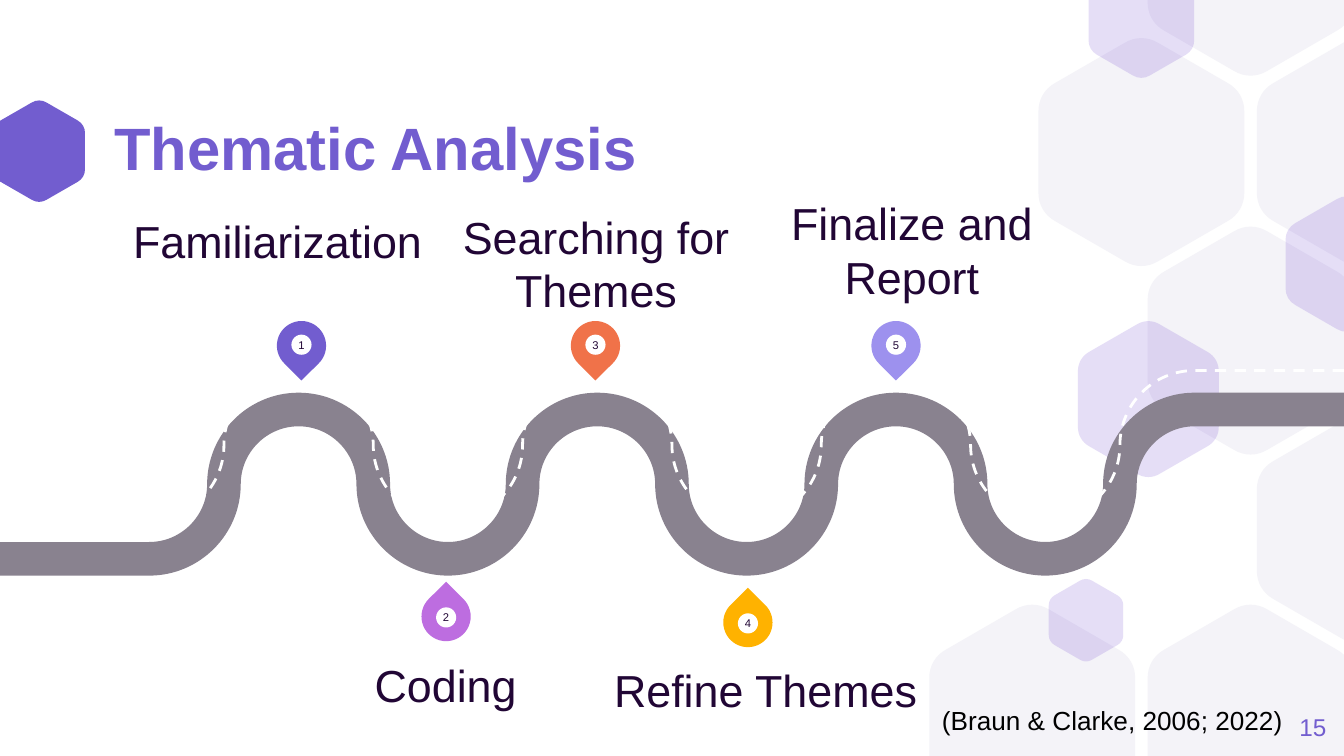
from math import cos, radians, sin

from lxml.etree import SubElement
from pptx import Presentation
from pptx.dml.color import RGBColor
from pptx.enum.dml import MSO_LINE_DASH_STYLE as Dash
from pptx.enum.shapes import MSO_SHAPE as Shape
from pptx.enum.text import MSO_ANCHOR as Anchor, MSO_AUTO_SIZE as AutoSize, PP_ALIGN as Align
from pptx.oxml.ns import qn
from pptx.util import Pt

WIDTH, HEIGHT = 720, 405
PURPLE = RGBColor(0x72, 0x5D, 0xCF)
ORANGE = RGBColor(0xF0, 0x72, 0x49)
LILAC = RGBColor(0x9D, 0x91, 0xEE)
AMBER = RGBColor(0xFF, 0xB2, 0x00)
ORCHID = RGBColor(0xBD, 0x6D, 0xE0)
VIOLET = RGBColor(0x53, 0x22, 0xC9)
MIST = RGBColor(0xF4, 0xF3, 0xF8)
ROAD = RGBColor(0x89, 0x82, 0x8F)
INK = RGBColor(0x21, 0x06, 0x35)
WHITE = RGBColor(0xFF, 0xFF, 0xFF)
BLACK = RGBColor(0x00, 0x00, 0x00)

ARCH = 80
RADIUS = ARCH / 2
ROUNDNESS = 0.55
HEXAGON_CORNER = [(-0.08, -0.53), (-0.03, -0.56), (0.03, -0.56), (0.08, -0.53)]


def write_text(shape, text, size=24, color=INK, bold=False, align=Align.CENTER,
               anchor=Anchor.MIDDLE, insets=(0, 0), spacing=None):
    frame = shape.text_frame
    frame.word_wrap = True
    frame.auto_size = AutoSize.NONE
    frame.vertical_anchor = anchor
    frame.margin_left = frame.margin_right = Pt(insets[0])
    frame.margin_top = frame.margin_bottom = Pt(insets[1])
    paragraph = frame.paragraphs[0]
    paragraph.alignment = align
    if spacing:
        paragraph.line_spacing = spacing
    run = paragraph.add_run()
    run.text = text
    run.font.name = "Arial"
    run.font.size = Pt(size)
    run.font.bold = bold
    run.font.color.rgb = color


def hexagon_segments(center_x, center_y, width):
    segments = []
    for angle in range(0, 360, 60):
        cosine, sine = cos(radians(angle)), sin(radians(angle))
        corner = [(center_x + width * (x * cosine - y * sine),
                   min(max(center_y + width * (x * sine + y * cosine), 0), HEIGHT))
                  for x, y in HEXAGON_CORNER]
        segments += [corner[:1], corner[1:]]
    return segments


def road_segments(middle):
    segments = [[(WIDTH, middle - RADIUS)], [(8 * ARCH, middle - RADIUS)]]
    for arch in range(8, 1, -1):
        x = arch * ARCH
        rise = -RADIUS if arch % 2 == 0 else RADIUS
        joint = x - RADIUS
        segments.append([(x - ROUNDNESS * RADIUS, middle + rise),
                         (joint, middle + ROUNDNESS * rise), (joint, middle)])
        segments.append([(joint, middle - ROUNDNESS * rise),
                         (x - ARCH + ROUNDNESS * RADIUS, middle - rise),
                         (x - ARCH, middle - rise)])
    return segments + [[(0, middle + RADIUS)]]


class SlideBuilder:
    def __init__(self, slide):
        self.slide = slide
        self.shapes = slide.shapes

    def title(self, text, left, top, width, height):
        shape = self.shapes.title
        shape.left, shape.top, shape.width, shape.height = map(Pt, (left, top, width, height))
        write_text(shape, text, size=32, color=PURPLE, bold=True, align=Align.LEFT, spacing=0.9)

    def text(self, text, left, top, width, height, **style):
        box = self.shapes.add_textbox(Pt(left), Pt(top), Pt(width), Pt(height))
        write_text(box, text, **style)

    def outline(self, segments, close):
        points = [(Pt(x), Pt(y)) for segment in segments for x, y in segment]
        builder = self.shapes.build_freeform(*points[0])
        builder.add_line_segments(points[1:], close=close)
        shape = builder.convert_to_shape()
        shape.shadow.inherit = False
        outline_path = shape._element.find(".//" + qn("a:path"))
        nodes = iter(outline_path.findall(qn("a:lnTo")))
        for segment in segments[1:]:
            node = next(nodes)
            if len(segment) == 3:
                node.tag = qn("a:cubicBezTo")
                for follower in (next(nodes), next(nodes)):
                    node.append(follower[0])
                    outline_path.remove(follower)
        return shape

    def paint(self, shape, color, opacity=None):
        shape.shadow.inherit = False
        shape.fill.solid()
        shape.fill.fore_color.rgb = color
        shape.line.fill.background()
        if opacity:
            tone = shape._element.spPr.find(qn("a:solidFill")).find(qn("a:srgbClr"))
            SubElement(tone, qn("a:alpha")).set("val", str(opacity * 1000))

    def hexagon(self, center_x, center_y, width, color, opacity=None):
        shape = self.outline(hexagon_segments(center_x, center_y, width), close=True)
        self.paint(shape, color, opacity)

    def road(self, middle, color, weight, dash=None):
        shape = self.outline(road_segments(middle), close=False)
        shape.fill.background()
        shape.line.color.rgb = color
        shape.line.width = Pt(weight)
        if dash:
            shape.line.dash_style = dash

    def centered(self, kind, center_x, center_y, size, color):
        shape = self.shapes.add_shape(kind, Pt(center_x - size / 2), Pt(center_y - size / 2),
                                      Pt(size), Pt(size))
        self.paint(shape, color)
        return shape

    def pin(self, number, center_x, center_y, color, rotation):
        drop = self.centered(Shape.TEAR, center_x, center_y, 26.4, color)
        drop.rotation = rotation
        nudge = -0.5 if rotation == 135 else 0.5
        dot = self.centered(Shape.OVAL, center_x, center_y + nudge, 10.8, WHITE)
        write_text(dot, number, size=6)


def main():
    presentation = Presentation()
    presentation.slide_width, presentation.slide_height = Pt(WIDTH), Pt(HEIGHT)
    builder = SlideBuilder(presentation.slides.add_slide(presentation.slide_layouts[5]))

    builder.hexagon(21, 81, 49.2, PURPLE)
    for center_x, center_y in [(553, 385), (670, 385), (728.5, 81.5), (670, -20.5),
                               (670, 182.5), (611.5, 81.5)]:
        builder.hexagon(center_x, center_y, 110.5, MIST)
    for center_x, center_y, width in [(721.5, 141.5, 65.7), (581.8, 332.3, 40),
                                      (611.5, 10.4, 56.7), (615.2, 213.8, 75.6)]:
        builder.hexagon(center_x, center_y, width, VIOLET, opacity=15)
    builder.hexagon(728.5, 284, 110.5, MIST)

    builder.title("Thematic Analysis", 61.2, 65.5, 473, 31)
    builder.text("15", 667.4, 373.7, 43.2, 31, size=13, color=PURPLE, align=Align.RIGHT)

    builder.road(259.4, ROAD, 18)
    builder.road(238.5, WHITE, 1.5, Dash.DASH)

    for number, center_x, center_y, color, rotation in [
            ("1", 161.5, 185.2, PURPLE, 135), ("3", 319, 185.2, ORANGE, 135),
            ("5", 480, 185.2, LILAC, 135), ("4", 400.7, 333.5, AMBER, 315),
            ("2", 239, 330.3, ORCHID, 315)]:
        builder.pin(number, center_x, center_y, color, rotation)

    for label, left, top, height in [
            ("Familiarization", 61.2, 108, 35.3), ("Coding", 151.2, 345.6, 35.3),
            ("Searching for Themes", 231.8, 105.8, 64), ("Refine Themes", 322.6, 346.3, 37.4),
            ("Finalize and Report", 401, 98.6, 64)]:
        builder.text(label, left, top, 175, height, anchor=Anchor.BOTTOM)

    builder.text("(Braun & Clarke, 2006; 2022)", 497.5, 373.7, 202.3, 24.5, size=14,
                 color=BLACK, align=Align.LEFT, anchor=Anchor.TOP, insets=(7.2, 3.6))

    presentation.save("out.pptx")


if __name__ == "__main__":
    main()
